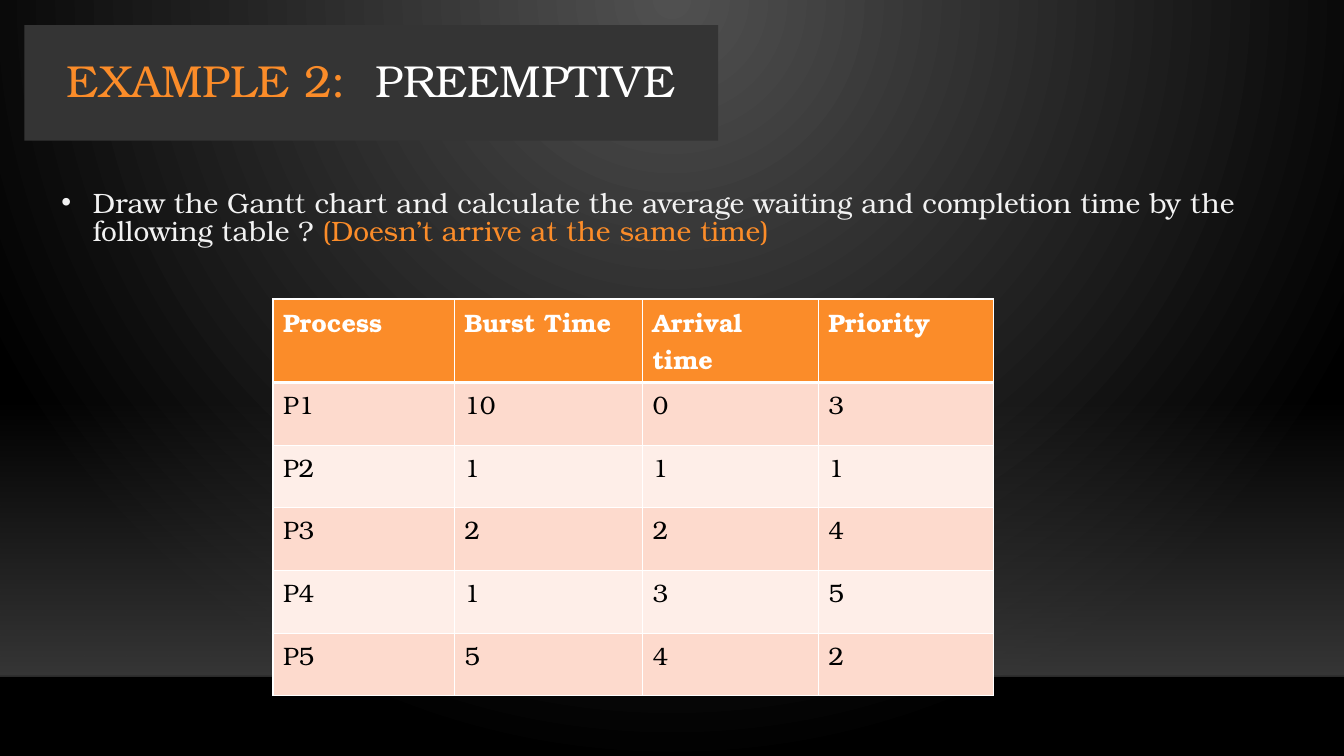
import pptx
import pptx.util
import pptx.oxml
import pptx.oxml.ns
import pptx.dml.color
import pptx.enum.shapes
import pptx.enum.text

Pt = pptx.util.Pt
FONT = "TeX Gyre Bonum"
COLORS = {
    "orange": "FB8C29", "white": "FFFFFF", "black": "000000",
    "panel": "343434", "text": "F2F2F2", "glow": "505050",
    "floor": "454545", "edge": "000001", "band": "FDDACD", "light": "FEEEE8",
}
PROCESSES = [
    ("Process", "Burst Time", "Arrival time", "Priority"),
    ("P1", "10", "0", "3"),
    ("P2", "1", "1", "1"),
    ("P3", "2", "2", "4"),
    ("P4", "1", "3", "5"),
    ("P5", "5", "4", "2"),
]


class Deck:
    def __init__(self, width, height):
        self.prs = pptx.Presentation()
        self.prs.slide_width, self.prs.slide_height = Pt(width), Pt(height)
        self.s = self.prs.slides.add_slide(self.prs.slide_layouts[5])

    def rgb(self, name):
        return pptx.dml.color.RGBColor.from_string(COLORS[name])

    def xml(self, text):
        head, tail = text.split(">", 1)
        ns = pptx.oxml.ns.nsdecls("a", "p")
        slash = "/" if head.endswith("/") else ""
        return pptx.oxml.parse_xml(f"{head.rstrip('/')} {ns}{slash}>{tail}")

    def gradient(self, stops, shade):
        gs = "".join(
            f'<a:gs pos="{pos * 1000}"><a:srgbClr val="{COLORS[name]}">'
            f'<a:alpha val="{alpha * 1000}"/></a:srgbClr></a:gs>'
            for pos, name, alpha in stops)
        return f'<a:gradFill rotWithShape="1"><a:gsLst>{gs}</a:gsLst>{shade}</a:gradFill>'

    def background(self, inner, outer):
        shade = ('<a:path path="circle"><a:fillToRect l="43000" t="0" '
                 'r="43000" b="100000"/></a:path>')
        fill = self.gradient([(0, inner, 100), (100, outer, 100)], shade)
        bg = self.xml(f"<p:bg><p:bgPr>{fill}<a:effectLst/></p:bgPr></p:bg>")
        self.s.element.cSld.insert(0, bg)

    def fade(self, box, name, alpha):
        sp = self.s.shapes.add_shape(
            pptx.enum.shapes.MSO_SHAPE.RECTANGLE, *map(Pt, box))
        sp.shadow.inherit = False
        sp.line.fill.background()
        fill = self.gradient([(0, name, 0), (100, name, alpha)],
                             '<a:lin ang="5400000" scaled="0"/>')
        sp.element.spPr.find(pptx.oxml.ns.qn("a:prstGeom")).addnext(self.xml(fill))

    def line(self, ends, name, alpha):
        c = self.s.shapes.add_connector(
            pptx.enum.shapes.MSO_CONNECTOR.STRAIGHT, *map(Pt, ends))
        c.line.width = Pt(1)
        c.line.color.rgb = self.rgb(name)
        spPr = c.element.spPr
        color = next(spPr.iter(pptx.oxml.ns.qn("a:srgbClr")))
        color.append(self.xml(f'<a:alpha val="{alpha * 1000}"/>'))
        spPr.append(self.xml("<a:effectLst/>"))

    def run(self, p, text, size, name, bold=False):
        r = p.add_run()
        r.text = text
        r.font.name, r.font.size, r.font.bold = FONT, Pt(size), bold
        r.font.color.rgb = self.rgb(name)

    def title(self, box, fill, runs):
        sp = self.s.shapes.title
        sp.left, sp.top, sp.width, sp.height = map(Pt, box)
        sp.fill.solid()
        sp.fill.fore_color.rgb = self.rgb(fill)
        tf = sp.text_frame
        tf.word_wrap = True
        tf.auto_size = pptx.enum.text.MSO_AUTO_SIZE.NONE
        tf.vertical_anchor = pptx.enum.text.MSO_ANCHOR.MIDDLE
        p = tf.paragraphs[0]
        p.alignment = pptx.enum.text.PP_ALIGN.CENTER
        p.line_spacing = 0.9
        for text, name in runs:
            self.run(p, text, 32, name)

    def bullet(self, box, runs):
        tf = self.s.shapes.add_textbox(*map(Pt, box)).text_frame
        tf.word_wrap = True
        tf.auto_size = pptx.enum.text.MSO_AUTO_SIZE.SHAPE_TO_FIT_TEXT
        p = tf.paragraphs[0]
        p.line_spacing = 0.85
        pPr = p._p.get_or_add_pPr()
        pPr.set("marL", str(Pt(22.5)))
        pPr.set("indent", str(Pt(-22.5)))
        pPr.append(self.xml(f'<a:buClr><a:srgbClr val="{COLORS["text"]}"/></a:buClr>'))
        pPr.append(self.xml('<a:buFont typeface="Arial"/>'))
        pPr.append(self.xml('<a:buChar char="•"/>'))
        for text, name in runs:
            self.run(p, text, 20, name)

    def border(self, cell, side, width):
        cell._tc.get_or_add_tcPr().append(self.xml(
            f'<a:{side} w="{Pt(width)}"><a:solidFill><a:srgbClr '
            f'val="{COLORS["white"]}"/></a:solidFill></a:{side}>'))

    def table(self, left, top, widths, heights, rows):
        frame = self.s.shapes.add_table(
            len(rows), len(widths), Pt(left), Pt(top),
            Pt(sum(widths)), Pt(sum(heights)))
        table = frame.table
        for column, width in zip(table.columns, widths):
            column.width = Pt(width)
        for i, values in enumerate(rows):
            table.rows[i].height = Pt(heights[i])
            header = i == 0
            fill = "orange" if header else ("light", "band")[i % 2]
            for j, value in enumerate(values):
                cell = table.cell(i, j)
                for side in ("lnL", "lnR", "lnT", "lnB"):
                    thick = (side, i) in (("lnB", 0), ("lnT", 1))
                    self.border(cell, side, 3 if thick else 1)
                cell.fill.solid()
                cell.fill.fore_color.rgb = self.rgb(fill)
                self.run(cell.text_frame.paragraphs[0], value, 18,
                         "white" if header else "black", header)


def main():
    deck = Deck(960, 540)
    deck.background("glow", "black")
    deck.fade((0, 285.5, 960, 197.5), "floor", 80)
    deck.line((0, 483, 960, 483), "edge", 20)
    deck.title((17.5, 18, 495.5, 82.5), "panel",
               [("EXAMPLE 2:  ", "orange"), ("PREEMPTIVE", "white")])
    deck.table(195, 213.5, (129.5, 134.5, 125.5, 125.5),
               [37.5] + [44.75] * 5, PROCESSES)
    deck.bullet((36.75, 132.5, 887, 55.5), [
        ("Draw the Gantt chart and calculate the average waiting and "
         "completion time by the following table ? ", "text"),
        ("(Doesn’t arrive at the same time)", "orange")])
    deck.prs.save("out.pptx")


if __name__ == "__main__":
    main()
